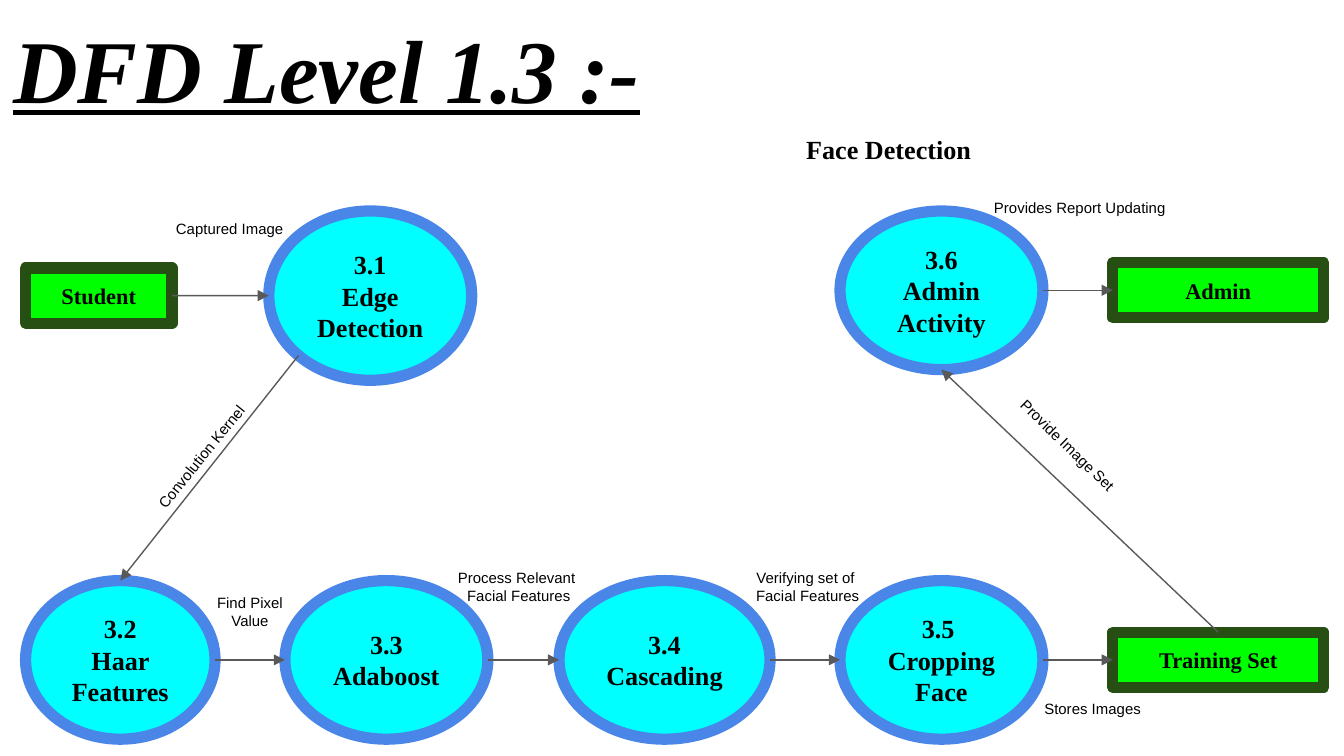
from dataclasses import dataclass
from math import sqrt

from lxml import etree
from pptx import Presentation
from pptx.dml.color import RGBColor
from pptx.enum import shapes, text
from pptx.oxml import ns
from pptx.util import Inches, Pt


@dataclass(frozen=True)
class Theme:
    serif: str = "Times New Roman"
    sans: str = "Arial"
    ink: str = "000000"
    process_fill: str = "00FFFF"
    process_line: str = "4A86E8"
    entity_fill: str = "00FF00"
    entity_line: str = "274E13"
    flow: str = "595959"
    title: int = 48
    heading: int = 14
    entity: int = 12
    label: int = 8
    border: float = 6
    flow_width: float = 0.75


THEME = Theme()


@dataclass(frozen=True)
class Box:
    left: float
    top: float
    width: float
    height: float

    def inches(self):
        return [Inches(v) for v in (self.left, self.top, self.width, self.height)]

    def at(self, across, down):
        """Point at the given fractions of the box."""
        return self.left + across * self.width, self.top + down * self.height


TOP, LEFT, RIGHT, BOTTOM = (0.5, 0), (0, 0.5), (1, 0.5), (0.5, 1)
LOWER_LEFT = (0.5 - sqrt(2) / 4, 0.5 + sqrt(2) / 4)  # on an ellipse


def write(shape, content, *, size, font=THEME.sans, bold=False, italic=False,
          underline=False, align=text.PP_ALIGN.CENTER, anchor=text.MSO_ANCHOR.TOP):
    """Fill a shape with text, one paragraph for each line."""
    frame = shape.text_frame
    frame.word_wrap = True
    frame.vertical_anchor = anchor
    frame.margin_left = frame.margin_right = Inches(0.1)
    frame.margin_top = frame.margin_bottom = Inches(0.1)
    frame.text = content
    for paragraph in frame.paragraphs:
        paragraph.alignment = align
        for run in paragraph.runs:
            run.font.name = font
            run.font.size = Pt(size)
            run.font.bold = bold
            run.font.italic = italic
            run.font.underline = underline
            run.font.color.rgb = RGBColor.from_string(THEME.ink)


def add_text(slide, box, content, rotation=0, **style):
    textbox = slide.shapes.add_textbox(*box.inches())
    textbox.rotation = rotation
    write(textbox, content, **style)


def add_node(slide, box, content, kind, fill, line, size):
    node = slide.shapes.add_shape(kind, *box.inches())
    node.shadow.inherit = False
    node.fill.solid()
    node.fill.fore_color.rgb = RGBColor.from_string(fill)
    node.line.color.rgb = RGBColor.from_string(line)
    node.line.width = Pt(THEME.border)
    write(node, content, size=size, font=THEME.serif, bold=True,
          anchor=text.MSO_ANCHOR.MIDDLE)


def add_process(slide, box, content):
    add_node(slide, box, content, shapes.MSO_SHAPE.OVAL,
             THEME.process_fill, THEME.process_line, THEME.heading)


def add_entity(slide, box, content):
    add_node(slide, box, content, shapes.MSO_SHAPE.RECTANGLE,
             THEME.entity_fill, THEME.entity_line, THEME.entity)


def add_flow(slide, start, end):
    flow = slide.shapes.add_connector(
        shapes.MSO_CONNECTOR.STRAIGHT, *[Inches(v) for v in (*start, *end)])
    flow.line.color.rgb = RGBColor.from_string(THEME.flow)
    flow.line.width = Pt(THEME.flow_width)
    outline = flow._element.spPr.find(ns.qn("a:ln"))
    etree.SubElement(outline, ns.qn("a:tailEnd"), type="triangle")
    etree.SubElement(flow._element.spPr, ns.qn("a:effectLst"))


def add_headings(slide, box):
    add_text(slide, Box(box.left, box.top, box.width, 1.01), "DFD Level 1.3 :-",
             size=THEME.title, font=THEME.serif, bold=True, italic=True,
             underline=True, align=text.PP_ALIGN.LEFT)
    add_text(slide, Box(box.left + 5.9, box.top + 0.89, 3.28, 0.44), "Face Detection",
             size=THEME.heading, font=THEME.serif, bold=True, align=text.PP_ALIGN.LEFT)


def add_diagram(slide, area):
    def place(left, top, width, height):
        return Box(area.left + left, area.top + top, width, height)

    upper, lower, height = 0.16, 2.91, 1.18
    entity_height = 0.41
    entity_drop = (height - entity_height) / 2

    # Processes
    edge = place(2, upper, 1.51, 1.26)
    activity = place(6.25, upper, 1.51, height)
    haar, adaboost, cascading, cropping = [
        place(left, lower, width, height)
        for left, width in ((0.19, 1.41), (2.12, 1.51), (4.16, 1.57), (6.25, 1.51))]
    for box, content in (
            (edge, "3.1\nEdge Detection"),
            (activity, "3.6\nAdmin Activity"),
            (haar, "3.2\nHaar Features"),
            (adaboost, "3.3\nAdaboost"),
            (cascading, "3.4\nCascading"),
            (cropping, "3.5 \nCropping Face")):
        add_process(slide, box, content)

    # External entities and data store
    student = place(0.19, upper + (1.26 - entity_height) / 2, 1.09, entity_height)
    admin, training = [place(8.28, row + entity_drop, 1.57, entity_height)
                       for row in (upper, lower)]
    for box, content in ((student, "Student"), (admin, "Admin"),
                         (training, "Training Set")):
        add_entity(slide, box, content)

    # Flows: level ones run right to left edge, the others between named points
    bottom_row = [haar, adaboost, cascading, cropping, training]
    level = [(student, edge), (activity, admin), *zip(bottom_row, bottom_row[1:])]
    flows = [(source, RIGHT, target, LEFT) for source, target in level]
    flows += [(edge, LOWER_LEFT, haar, TOP), (training, TOP, activity, BOTTOM)]
    for source, leaves, target, enters in flows:
        add_flow(slide, source.at(*leaves), target.at(*enters))

    # Flow labels
    one_line, two_lines = 0.34, 0.47
    for left, top, width, tall, content, rotation in (
            (0.68, 0.16, 2.06, one_line, "Captured Image", 0),
            (0.63, 1.84, 1.79, one_line, "Convolution Kernel", 309),
            (1.22, 2.91, 1.28, two_lines, "Find Pixel\nValue", 0),
            (2.68, 2.72, 2.33, two_lines, "Process Relevant\n Facial Features", 0),
            (5.42, 2.72, 1.18, two_lines, "Verifying set of \nFacial Features", 0),
            (7.49, 3.73, 1.28, one_line, "Stores Images", 0),
            (6.98, 1.76, 1.88, one_line, "Provide Image Set", 44.2),
            (7.11, 0, 1.85, one_line, "Provides Report Updating", 0)):
        add_text(slide, place(left, top, width, tall), content, rotation,
                 size=THEME.label)


def main():
    deck = Presentation()
    deck.slide_width = Inches(10)
    deck.slide_height = deck.slide_width * 9 // 16
    slide = deck.slides.add_slide(deck.slide_layouts[6])
    add_diagram(slide, Box(0, 1.41, 10, 4.21))
    add_headings(slide, Box(0, 0, 10, 1.33))
    deck.save("out.pptx")


if __name__ == "__main__":
    main()
